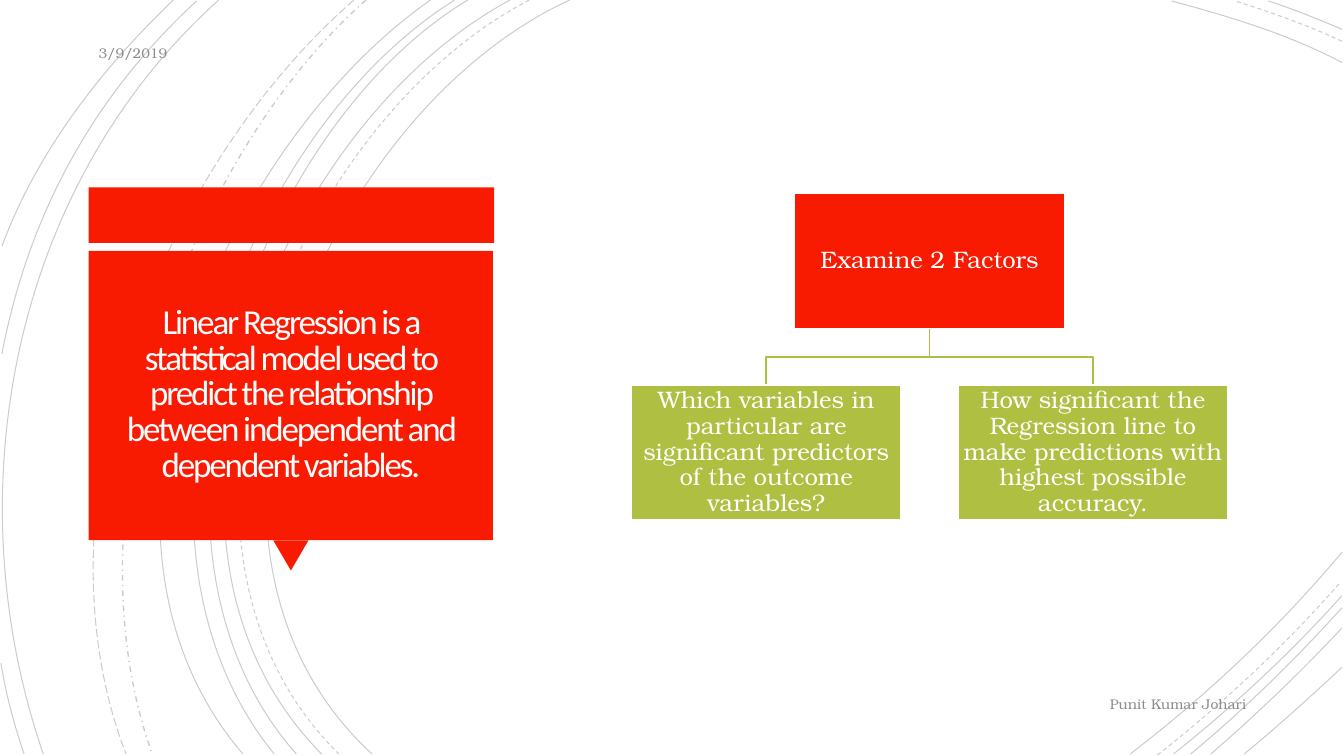
from typing import NamedTuple

from lxml.etree import SubElement
from pptx import Presentation
from pptx.dml.color import RGBColor
from pptx.enum.dml import MSO_LINE
from pptx.enum.shapes import MSO_SHAPE
from pptx.enum.text import MSO_ANCHOR, PP_ALIGN
from pptx.oxml.ns import qn
from pptx.shapes.autoshape import Shape
from pptx.util import Inches, Pt

RED, GREEN, WHITE, GREY, BLACK = "F81B02", "AFBF41", "FFFFFF", "8C8C8C", "000000"
SERIF = "TeX Gyre Bonum"
SOLID, DASH = MSO_LINE.SOLID, MSO_LINE.DASH
Point = tuple[float, float]


class Curve(NamedTuple):
    start: Point
    bend1: Point
    bend2: Point
    end: Point
    dash: MSO_LINE = SOLID
    width: float = 0.75


class Block(NamedTuple):
    left: float
    top: float
    width: float
    height: float
    fill: str | None = None
    edge: str | None = None
    kind: MSO_SHAPE = MSO_SHAPE.RECTANGLE
    turn: float = 0


class Label(NamedTuple):
    text: str
    size: float
    color: str
    font: str = SERIF
    align: PP_ALIGN = PP_ALIGN.CENTER
    inset: tuple[float, float] = (0.01, 0.01)
    space: float = 1
    after: float = 0
    track: float = 0


CURVES = [
    # Left sweep
    Curve((5.65, 0), (3.15, 1.15), (1.43, 5.4), (3.69, 7.48)),
    Curve((5.25, 0), (2.85, 1.25), (1.23, 5.37), (3.36, 7.48), DASH),
    Curve((5.06, 0), (2.7, 1.27), (1.1, 5.37), (3.19, 7.48)),
    Curve((4.64, 0), (2.44, 1.33), (1.1, 5.41), (2.94, 7.48)),
    Curve((4.51, 0), (2.31, 1.38), (0.97, 5.33), (2.72, 7.48)),
    Curve((4.27, 0), (2.17, 1.47), (0.53, 5.29), (2.41, 7.48)),
    Curve((3.63, 0), (1.76, 1.66), (0.65, 5.09), (1.51, 7.48), MSO_LINE.DASH_DOT, 1),
    Curve((3.51, 0), (1.57, 1.69), (0.29, 4.99), (1.25, 7.48), MSO_LINE.LONG_DASH),
    Curve((2.17, 0), (0.11, 1.85), (-0.46, 4.9), (0.43, 7.48)),
    Curve((1.95, 0.01), (0.92, 0.96), (0.28, 2.14), (0.02, 3.51)),
    Curve((0.01, 6.58), (0.06, 6.89), (0.14, 7.19), (0.24, 7.48)),
    Curve((1.72, 0), (1, 0.69), (0.37, 1.5), (0.02, 2.44)),
    # Top right corner
    Curve((13.31, 0.62), (12.78, 0.34), (12.18, 0.16), (11.62, 0.01)),
    Curve((13.31, 0.41), (12.97, 0.25), (12.6, 0.12), (12.25, 0.01), DASH),
    Curve((13.31, 0.29), (13.07, 0.19), (12.83, 0.09), (12.58, 0.01)),
    # Bottom right corner
    Curve((11.21, 7.48), (11.97, 6.9), (12.69, 6.22), (13.31, 5.48)),
    Curve((11.48, 7.49), (12.13, 6.98), (12.75, 6.4), (13.3, 5.77), DASH),
    Curve((11.64, 7.48), (12.23, 7.01), (12.8, 6.48), (13.31, 5.91)),
    Curve((11.81, 7.48), (12.34, 7.04), (12.84, 6.55), (13.31, 6.03)),
    Curve((12.01, 7.48), (12.46, 7.09), (12.9, 6.67), (13.31, 6.23)),
    Curve((12.34, 7.48), (12.67, 7.21), (12.99, 6.92), (13.31, 6.62)),
]

# Red callout: band, pointer and body
CALLOUT = [
    Block(0.88, 1.86, 4.02, 0.55, RED),
    Block(2.71, 5.36, 0.35, 0.3, RED, kind=MSO_SHAPE.ISOSCELES_TRIANGLE, turn=180),
    Block(0.88, 2.49, 4.01, 2.87, RED),
]

# Chart of factors: root in the middle, leaves one step to each side
BOX_W, BOX_H, MID, STEP = 2.68, 1.34, 9.22, 1.62
ROOT_Y, LEAF_Y = 1.92, 3.82
FACTORS = [
    (MID, ROOT_Y, RED, "Examine 2 Factors"),
    (MID - STEP, LEAF_Y, GREEN, "Which variables in particular are significant "
     "predictors of the outcome variables?"),
    (MID + STEP, LEAF_Y, GREEN, "How significant the Regression line to make "
     "predictions with highest possible accuracy."),
]

deck = Presentation()
deck.slide_width, deck.slide_height = Inches(13.33), Inches(7.5)
slide = deck.slides.add_slide(deck.slide_layouts[6])
shapes = slide.shapes


def paint(code: str) -> RGBColor:
    return RGBColor.from_string(code)


def trace(points: list[Point], color: str, width: float) -> Shape:
    """Draw an open outline through the points."""
    first, *rest = [(Inches(x), Inches(y)) for x, y in points]
    pen = shapes.build_freeform(*first)
    pen.add_line_segments(rest, close=False)
    line = pen.convert_to_shape()
    line.shadow.inherit = False
    line.fill.background()
    line.line.color.rgb = paint(color)
    line.line.width = Pt(width)
    return line


def sweep(curve: Curve) -> None:
    """Draw a faint cubic curve."""
    line = trace(list(curve[:4]), BLACK, curve.width)
    line.line.dash_style = curve.dash
    tint = line.element.xpath(".//a:ln//a:srgbClr")[0]
    SubElement(tint, qn("a:alpha"), val="20000")
    route = line.element.xpath(".//a:path")[0]
    cubic = SubElement(route, qn("a:cubicBezTo"))
    for part in route.findall(qn("a:lnTo")):
        cubic.append(part[0])
        route.remove(part)


def place(block: Block) -> Shape:
    shape = shapes.add_shape(block.kind, *map(Inches, block[:4]))
    shape.shadow.inherit = False
    shape.rotation = block.turn
    shape.fill.solid()
    shape.fill.fore_color.rgb = paint(block.fill)
    if block.edge:
        shape.line.color.rgb = paint(block.edge)
        shape.line.width = Pt(1.25)
    else:
        shape.line.fill.background()
    return shape


def write(shape: Shape, label: Label) -> None:
    frame = shape.text_frame
    frame.word_wrap = True
    frame.vertical_anchor = MSO_ANCHOR.MIDDLE
    side, edge = map(Inches, label.inset)
    frame.margin_left = frame.margin_right = side
    frame.margin_top = frame.margin_bottom = edge
    para = frame.paragraphs[0]
    para.alignment = label.align
    para.line_spacing = label.space
    para.space_after = Pt(label.after)
    run = para.add_run()
    run.text = label.text
    run.font.name = label.font
    run.font.size = Pt(label.size)
    run.font.color.rgb = paint(label.color)
    if label.track:
        shape.element.xpath(".//a:rPr")[0].set("spc", str(int(label.track * 100)))


def note(block: Block, label: Label) -> None:
    write(shapes.add_textbox(*map(Inches, block[:4])), label)


# Backdrop
for curve in CURVES:
    sweep(curve)

# Callout and its title
for block in CALLOUT:
    place(block)
note(Block(0.97, 2.58, 3.83, 2.68),
     Label("Linear Regression is a statistical model used to predict the relationship "
           "between independent and dependent variables.", 25, "FFFEFF", "Calibri",
           inset=(0.25, 0.25), space=0.85, after=6, track=-1.5))

# Branches, then boxes
foot = ROOT_Y + BOX_H
fork = (foot + LEAF_Y) / 2
for end in (MID + STEP, MID - STEP):
    trace([(MID, foot), (MID, fork), (end, fork), (end, LEAF_Y)], GREEN, 1.25)
for mid, top, fill, text in FACTORS:
    box = place(Block(mid - BOX_W / 2, top, BOX_W, BOX_H, fill, WHITE))
    write(box, Label(text, 17, WHITE, space=0.9, after=6))

# Date and footer
for block, text, align in [
    (Block(0.88, 0.35, 4, 0.35), "3/9/2019", PP_ALIGN.LEFT),
    (Block(0.88, 6.81, 11.58, 0.35), "Punit Kumar Johari", PP_ALIGN.RIGHT),
]:
    note(block, Label(text, 10, GREY, align=align, inset=(0.1, 0.05)))

deck.save("out.pptx")
